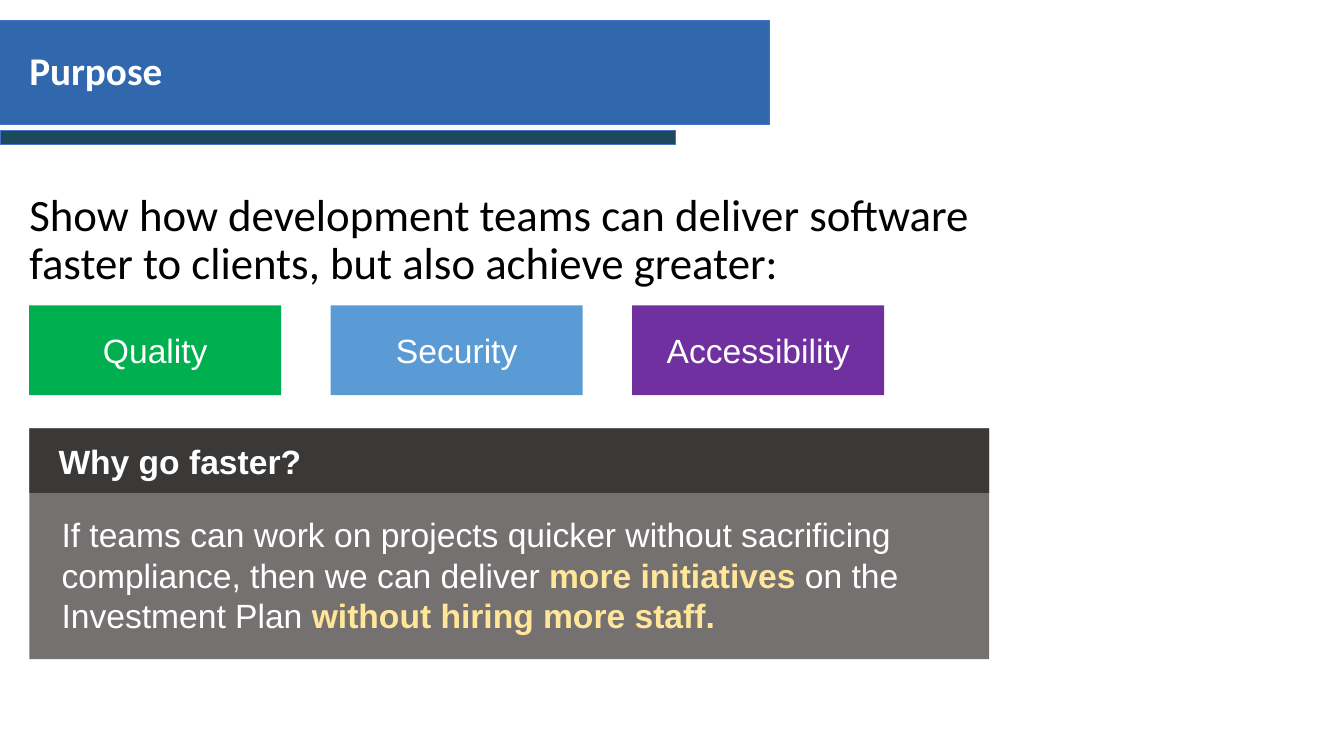
import dataclasses
import typing

import lxml.etree
import pptx
import pptx.dml.color
import pptx.enum.shapes
import pptx.enum.text
import pptx.oxml.ns
import pptx.util

Inches = pptx.util.Inches
RGBColor = pptx.dml.color.RGBColor
Align = pptx.enum.text.PP_ALIGN
Anchor = pptx.enum.text.MSO_ANCHOR

WHITE = RGBColor(0xFF, 0xFF, 0xFF)
BLACK = RGBColor(0x00, 0x00, 0x00)
BLUE = RGBColor(0x30, 0x67, 0xAD)
TEAL = RGBColor(0x1C, 0x49, 0x5C)
EDGE = RGBColor(0x44, 0x72, 0xC4)
GREEN = RGBColor(0x00, 0xB0, 0x50)
SKY = RGBColor(0x5B, 0x9B, 0xD5)
PURPLE = RGBColor(0x70, 0x30, 0xA0)
GRAY = RGBColor(0x76, 0x71, 0x71)
DARK = RGBColor(0x3B, 0x38, 0x38)
GOLD = RGBColor(0xFF, 0xE6, 0x99)

LEFT = 0.29
Box = tuple[float, float, float, float]


@dataclasses.dataclass
class Run:
    text: str
    color: RGBColor = WHITE
    bold: bool = False


@dataclasses.dataclass
class Goal:
    text: str
    fill: RGBColor


@dataclasses.dataclass
class Bar:
    box: Box
    fill: RGBColor


BARS = [Bar((-0.01, 0.2, 7.64, 1.03), BLUE), Bar((0, 1.29, 6.7, 0.14), TEAL)]
GOALS = [Goal("Quality", GREEN), Goal("Security", SKY), Goal("Accessibility", PURPLE)]
REASON = [
    Run("If teams can work on projects quicker without sacrificing compliance, "
        "then we can deliver "),
    Run("more initiatives", GOLD, True),
    Run(" on the Investment Plan "),
    Run("without hiring more staff.", GOLD, True),
]


def write(shape: typing.Any, runs: list[Run], *, size: float = 24, font: str = "Arial",
          align: Align = Align.LEFT, anchor: Anchor = Anchor.MIDDLE, before: float = 0,
          line: float = 1.0, inset: Box = (0.1, 0.05, 0.1, 0.05)) -> None:
    frame = shape.text_frame
    frame.word_wrap = True
    frame.auto_size = pptx.enum.text.MSO_AUTO_SIZE.NONE
    frame.vertical_anchor = anchor
    (frame.margin_left, frame.margin_top,
     frame.margin_right, frame.margin_bottom) = map(Inches, inset)
    para = frame.paragraphs[0]
    para.alignment = align
    para.line_spacing = line
    para.space_before = pptx.util.Pt(before)
    for item in runs:
        run = para.add_run()
        run.text = item.text
        run.font.name = font
        run.font.size = pptx.util.Pt(size)
        run.font.bold = item.bold
        run.font.color.rgb = item.color


def place(shape: typing.Any, box: Box) -> None:
    shape.left, shape.top, shape.width, shape.height = map(Inches, box)


def block(shapes: typing.Any, box: Box, fill: RGBColor) -> typing.Any:
    kind = pptx.enum.shapes.MSO_SHAPE.RECTANGLE
    shape = shapes.add_shape(kind, *map(Inches, box))
    shape.shadow.inherit = False
    shape.fill.solid()
    shape.fill.fore_color.rgb = fill
    shape.line.fill.background()
    return shape


def plain(shape: typing.Any) -> None:
    props = shape.text_frame.paragraphs[0]._p.get_or_add_pPr()
    props.set("marL", "0")
    props.set("indent", "0")
    lxml.etree.SubElement(props, pptx.oxml.ns.qn("a:buNone"))


def main() -> None:
    deck = pptx.Presentation()
    deck.slide_width = Inches(13.33)
    deck.slide_height = Inches(7.5)
    slide = deck.slides.add_slide(deck.slide_layouts[1])
    shapes = slide.shapes
    title, body = slide.placeholders

    for bar in BARS:
        shape = block(shapes, bar.box, bar.fill)
        shape.line.color.rgb = EDGE
        shape.line.width = pptx.util.Pt(0.5)
        title._element.addprevious(shape._element)

    place(title, (0.19, 0.21, 10.42, 1.02))
    write(title, [Run("Purpose", bold=True)], size=28, font="Calibri", line=0.9)
    place(body, (0.19, 1.86, 9.72, 4.95))
    lead = ("Show how development teams can deliver software faster to clients, "
            "but also achieve greater:")
    write(body, [Run(lead, BLACK)], size=32, font="Calibri", anchor=Anchor.TOP,
          before=10, line=0.9)
    plain(body)

    for i, goal in enumerate(GOALS):
        shape = block(shapes, (LEFT + 2.99 * i, 3.03, 2.5, 0.89), goal.fill)
        write(shape, [Run(goal.text)], align=Align.CENTER)

    panel = shapes.add_group_shape().shapes
    shape = block(panel, (LEFT, 4.25, 9.52, 2.29), GRAY)
    write(shape, REASON, anchor=Anchor.BOTTOM, before=18, inset=(0.32, 0, 0.12, 0.24))
    shape = block(panel, (LEFT, 4.25, 9.52, 0.64), DARK)
    write(shape, [Run("Why go faster?", bold=True)], before=18, inset=(0.29, 0, 0, 0))

    deck.save("out.pptx")


if __name__ == "__main__":
    main()
